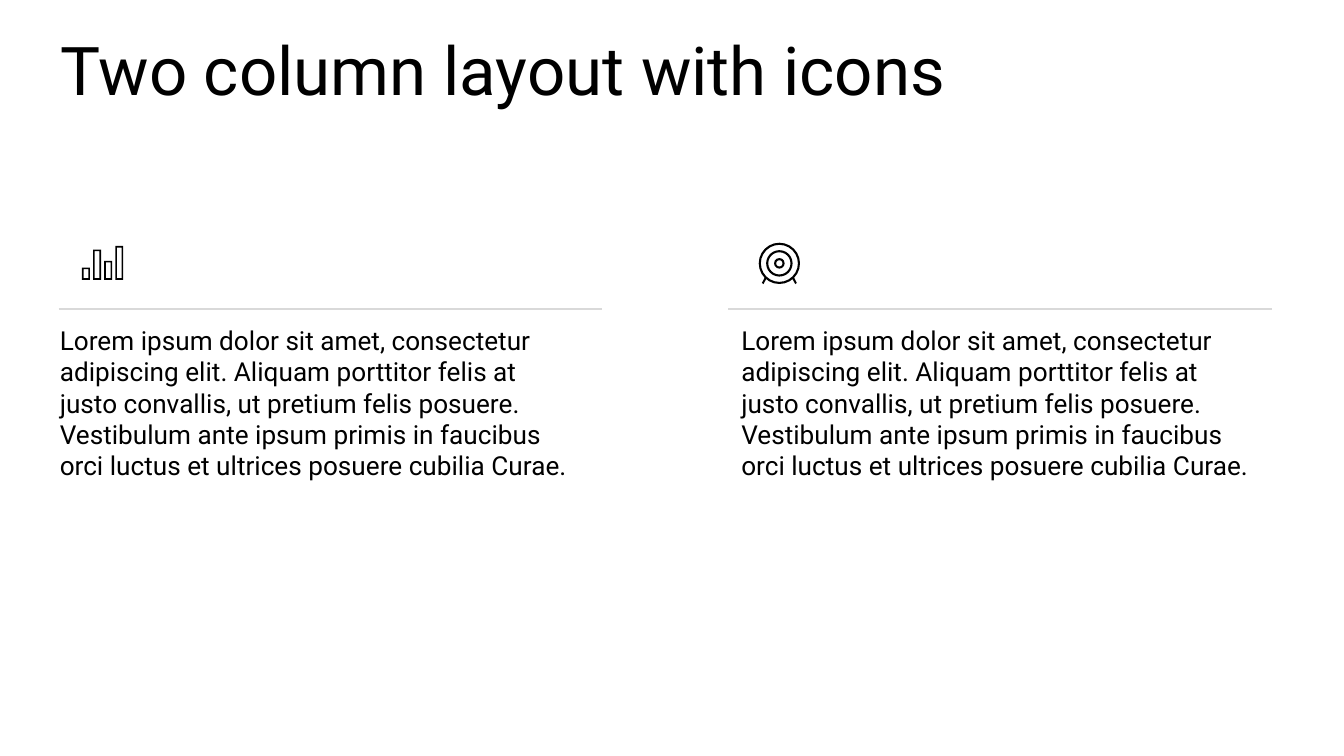
import pptx
import pptx.dml.color
import pptx.enum.shapes
import pptx.enum.text
import pptx.oxml
import pptx.oxml.ns
import pptx.util

Cm = pptx.util.Cm
Pt = pptx.util.Pt
INK = pptx.dml.color.RGBColor(0x00, 0x00, 0x00)
RULE = pptx.dml.color.RGBColor(0xD9, 0xD9, 0xD9)

HEADING = "Two column layout with icons"
LOREM = (
    "Lorem ipsum dolor sit amet, consectetur adipiscing elit. "
    "Aliquam porttitor felis at justo convallis, ut pretium felis posuere. "
    "Vestibulum ante ipsum primis in faucibus orci luctus et ultrices posuere cubilia Curae."
)

FRAME_FORMAT = {
    "word_wrap": True,
    "auto_size": pptx.enum.text.MSO_AUTO_SIZE.NONE,
    "vertical_anchor": pptx.enum.text.MSO_ANCHOR.TOP,
    "margin_left": Cm(0.25),
    "margin_right": Cm(0.25),
    "margin_top": Cm(0.13),
    "margin_bottom": Cm(0.13),
}
LEFT = pptx.enum.text.PP_ALIGN.LEFT
HEADING_PARAGRAPH = {"alignment": LEFT, "line_spacing": Pt(35), "space_before": Pt(0)}
BODY_PARAGRAPH = {"alignment": LEFT, "space_before": Pt(10)}


def apply_format(target, values):
    for name, value in values.items():
        setattr(target, name, value)


def drawing_element(tag, attributes=""):
    return pptx.oxml.parse_xml(
        "<a:%s %s %s/>" % (tag, pptx.oxml.ns.nsdecls("a"), attributes))


def fill_placeholder(placeholder, box, wording, size, paragraph_format):
    apply_format(placeholder, dict(zip(("left", "top", "width", "height"), map(Cm, box))))
    frame = placeholder.text_frame
    frame.text = wording
    apply_format(frame, FRAME_FORMAT)
    paragraph = frame.paragraphs[0]
    apply_format(paragraph, paragraph_format)
    apply_format(paragraph.runs[0].font, {"name": "Roboto", "size": Pt(size)})
    paragraph.runs[0].font.color.rgb = INK
    return paragraph


def draw_outlines(slide, outlines):
    contours = [[(Cm(x), Cm(y)) for x, y in outline] for outline in outlines]
    builder = slide.shapes.build_freeform(*contours[0][0])
    builder.add_line_segments(contours[0][1:], close=True)
    for contour in contours[1:]:
        builder.move_to(*contour[0])
        builder.add_line_segments(contour[1:], close=True)
    icon = builder.convert_to_shape()
    icon.shadow.inherit = False
    icon.fill.solid()
    icon.fill.fore_color.rgb = INK
    icon.line.fill.background()
    return icon


def rectangle(left, top, right, bottom):
    return [(left, top), (right, top), (right, bottom), (left, bottom)]


def diamond(x, y, radius):
    return [(x + radius, y), (x, y + radius), (x - radius, y), (x, y - radius)]


def round_diamonds(icon, radii):
    closes = icon._element.findall(".//" + pptx.oxml.ns.qn("a:close"))
    for close, radius in zip(closes, radii):
        while close.getprevious().tag == pptx.oxml.ns.qn("a:lnTo"):
            close.getparent().remove(close.getprevious())
        for start in (0, 10800000):
            close.addprevious(drawing_element(
                "arcTo", 'wR="%d" hR="%d" stAng="%d" swAng="10800000"'
                % (Cm(radius), Cm(radius), start)))


def draw_bars(slide, left, top):
    heights = (0.23, 0.57, 0.36, 0.64)
    bar_width, pitch, stroke = 0.15, 0.21, 0.03
    bottom = top + 0.71
    outlines = []
    for index, height in enumerate(heights):
        x = left + index * pitch
        for inset in (0, stroke):
            outlines.append(rectangle(
                x + inset, bottom - height + inset, x + bar_width - inset, bottom - inset))
    draw_outlines(slide, outlines)


def draw_target(slide, left, top):
    radii = (0.39, 0.35, 0.25, 0.21, 0.1, 0.06)
    x, y = left + radii[0], top + radii[0] + 0.01
    outlines = [diamond(x, y, radius) for radius in radii]
    for side in (-1, 1):
        leg = ((0.25, 0.3), (0.28, 0.27), (0.33, 0.37), (0.3, 0.39))
        outlines.append([(x + side * dx, y + dy) for dx, dy in leg])
    round_diamonds(draw_outlines(slide, outlines), radii)


def build_heading(slide, box):
    fill_placeholder(slide.shapes.title, box, HEADING, 36, HEADING_PARAGRAPH)


def build_column(slide, body, box, text_shift, draw_icon, icon_shift):
    left, top, width, height = box
    rule_top, text_top = top + 1.26, top + 1.42
    text_box = (left + text_shift, text_top, width - 0.02, height - 1.42)
    paragraph = fill_placeholder(body, text_box, LOREM, 14, BODY_PARAGRAPH)
    properties = paragraph._p.get_or_add_pPr()
    properties.set("marL", "0")
    properties.set("indent", "0")
    properties.append(drawing_element("buNone"))

    rule = slide.shapes.add_connector(
        pptx.enum.shapes.MSO_CONNECTOR.STRAIGHT,
        Cm(left), Cm(rule_top), Cm(left + width), Cm(rule_top))
    rule.line.color.rgb = RULE
    rule.line.width = Pt(0.75)
    rule._element.spPr.append(drawing_element("effectLst"))

    draw_icon(slide, left + icon_shift, top)


def main():
    deck = pptx.Presentation()
    deck.slide_width, deck.slide_height = Cm(25.4), Cm(14.29)
    slide = deck.slides.add_slide(deck.slide_layouts[3])
    build_heading(slide, (0.89, 0.69, 23.55, 1.7))
    columns = (
        (1, 1.11, -0.23, draw_bars, 0.44),
        (2, 13.76, 0, draw_target, 0.58),
    )
    for index, left, text_shift, draw_icon, icon_shift in columns:
        build_column(slide, slide.placeholders[index], (left, 4.58, 10.27, 8.06),
                     text_shift, draw_icon, icon_shift)
    deck.save("out.pptx")


if __name__ == "__main__":
    main()
